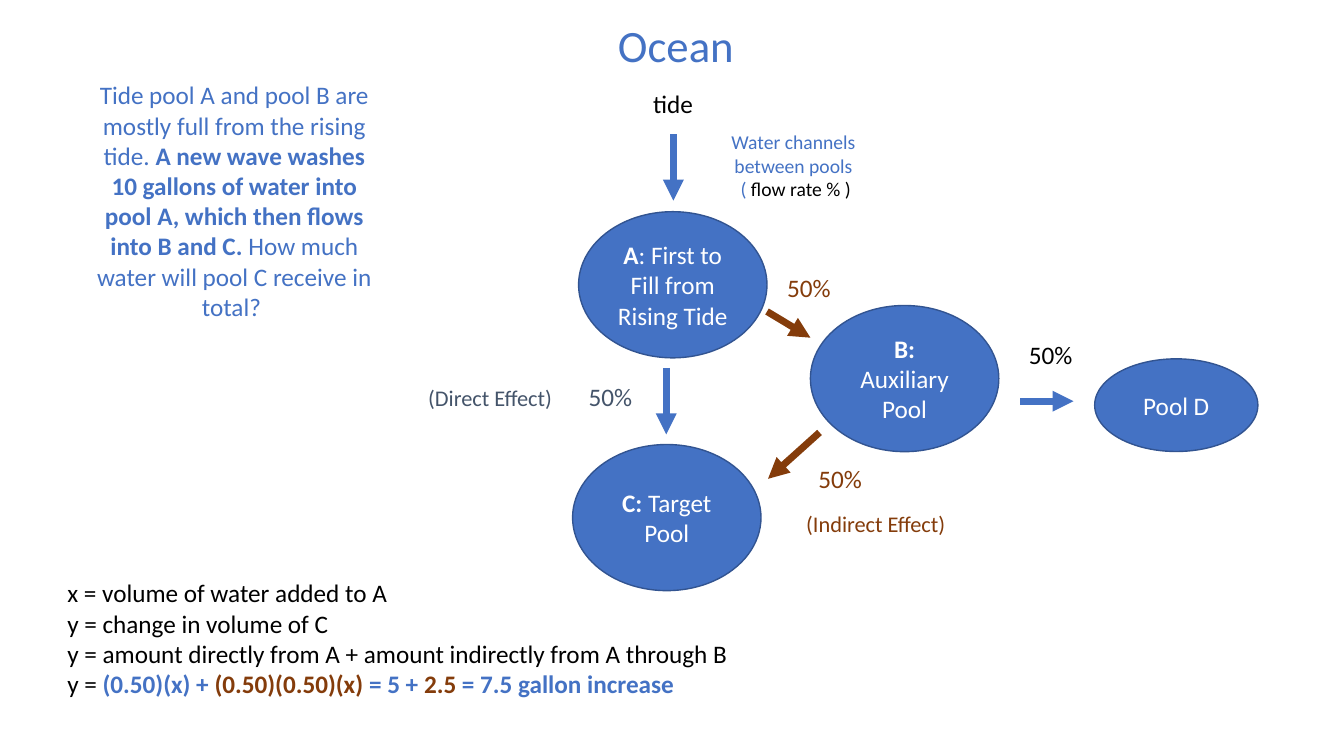
from pptx import Presentation
from pptx.dml.color import RGBColor as Rgb
from pptx.enum.shapes import MSO_CONNECTOR as Connector, MSO_SHAPE as Preset
from pptx.enum.text import MSO_ANCHOR as Anchor, MSO_AUTO_SIZE as AutoSize, PP_ALIGN as Align
from pptx.oxml.ns import qn
from pptx.util import Pt
from lxml.etree import SubElement

COLORS = {"water": "4472C4", "rim": "325491", "indirect": "843C0B",
          "direct": "44546A", "black": "000000", "white": "FFFFFF"}
POOL_SIZE = (134.6, 104.4)


def color(name):
    """Return the named colour."""
    return Rgb.from_string(COLORS[name])


def write(frame, paragraphs, size=18, ink="black", align=Align.LEFT):
    """Fill a text frame; each span is (text, bold, colour), the last two optional."""
    for index, spans in enumerate(paragraphs):
        para = frame.paragraphs[0] if index == 0 else frame.add_paragraph()
        para.alignment = align
        for text, bold, tint in ((*span, False, ink)[:3] if len(span) == 1
                                 else (*span, ink)[:3] for span in spans):
            span = para.add_run()
            span.text = text
            span.font.name = "Calibri"
            span.font.size = Pt(size)
            span.font.bold = bold
            span.font.color.rgb = color(tint)


def add_text(page, box, paragraphs, wrap=True, **style):
    """Add a text box that grows with its text."""
    frame = page.shapes.add_textbox(*map(Pt, box)).text_frame
    frame.word_wrap = wrap
    frame.auto_size = AutoSize.SHAPE_TO_FIT_TEXT
    write(frame, paragraphs, **style)


def add_pool(page, box, spans):
    """Add an elliptical pool with centred white text."""
    pool = page.shapes.add_shape(Preset.OVAL, *map(Pt, box))
    pool.shadow.inherit = False
    pool.fill.solid()
    pool.fill.fore_color.rgb = color("water")
    pool.line.color.rgb = color("rim")
    pool.line.width = Pt(1)
    pool.text_frame.word_wrap = True
    pool.text_frame.vertical_anchor = Anchor.MIDDLE
    write(pool.text_frame, [spans], ink="white", align=Align.CENTER)


def add_flow(page, start, end, ink):
    """Add an arrow from start to end."""
    flow = page.shapes.add_connector(Connector.STRAIGHT, *map(Pt, (*start, *end)))
    flow.line.color.rgb = color(ink)
    flow.line.width = Pt(5)
    SubElement(flow.line._get_or_add_ln(), qn("a:tailEnd"), type="triangle")
    SubElement(flow._element.spPr, qn("a:effectLst"))


def draw_pools(page, box):
    """Draw the pools, the flows between them and their labels."""
    left, top, _, _ = box

    def at(x, y, *size):
        return (left + x, top + y, *size)

    for x, y, size, spans in [
        (113.3, 151.2, POOL_SIZE, [("A", True), (": First to Fill from Rising Tide",)]),
        (278.9, 218.2, POOL_SIZE, [("B: ", True), ("Auxiliary Pool",)]),
        (109, 317.5, POOL_SIZE, [("C: ", True), ("Target Pool",)]),
        (481.9, 256.3, (116.6, 66.2), [("Pool D",)]),
    ]:
        add_pool(page, at(x, y, *size), spans)

    for start, end, ink in [
        ((181, 95.8), (181, 143.3), "water"),
        ((247.9, 222.5), (278.9, 241.2), "indirect"),
        ((175.9, 262.8), (175.9, 310.3), "water"),
        ((428.6, 286.6), (466.8, 286.6), "water"),
        ((285.4, 308.9), (248.6, 342), "indirect"),
    ]:
        add_flow(page, at(*start), at(*end), ink)

    for text, x, y, width, size, ink in [
        ("tide", 159.4, 59.8, 43.2, 18, "black"),
        ("50%", 255.1, 190.8, 46, 18, "indirect"),
        ("50%", 113.3, 268.6, 46, 18, "direct"),
        ("50%", 277.4, 327.6, 46, 18, "indirect"),
        ("50%", 427.9, 239, 46, 18, "black"),
        ("(Indirect Effect)", 268.8, 360.7, 115.2, 16, "indirect"),
        ("(Direct Effect)", -1.2, 270.7, 104.4, 16, "direct"),
    ]:
        add_text(page, at(x, y, width, size * 1.2 + 7.2), [[(text,)]],
                 wrap=False, size=size, ink=ink)

    add_text(page, at(109, 9.4, 147.6, 46), [[("Ocean",)]],
             size=32, ink="water", align=Align.CENTER)
    channels = [[("Water channels ",)], [("between pools ",)],
                [("( ",), ("flow rate % )", False, "black")]]
    add_text(page, at(191, 89.3, 154.8, 58.3), channels,
             size=14, ink="water", align=Align.CENTER)


def draw_question(page, box):
    """Write the tide pool question."""
    spans = [("Tide pool A and pool B are mostly full from the rising tide. ",),
             ("A new wave washes 10 gallons of water into pool A, "
              "which then flows into B and C. ", True),
             ("How much water will pool C receive in total? ",)]
    add_text(page, box, [spans], ink="water", align=Align.CENTER)


def draw_equations(page, box):
    """Write the definitions and the worked answer."""
    answer = [("y = ",), ("(0.50)(x) + ", True, "water"),
              ("(0.50)(0.50)(x) ", True, "indirect"), ("= 5 + ", True, "water"),
              ("2.5", True, "indirect"), (" = 7.5 gallon increase ", True, "water")]
    add_text(page, box, [
        [("x = volume of water added to A",)],
        [("y = change in volume of C",)],
        [("y = amount directly from A + amount indirectly from A through B ",)],
        answer])


deck = Presentation()
deck.slide_width, deck.slide_height = Pt(960), Pt(540)
page = deck.slides.add_slide(deck.slide_layouts[6])
draw_pools(page, (300, 0, 600, 430))
draw_question(page, (60.5, 53.3, 213.8, 159.8))
draw_equations(page, (41, 409, 515.5, 94.3))
deck.save("out.pptx")
